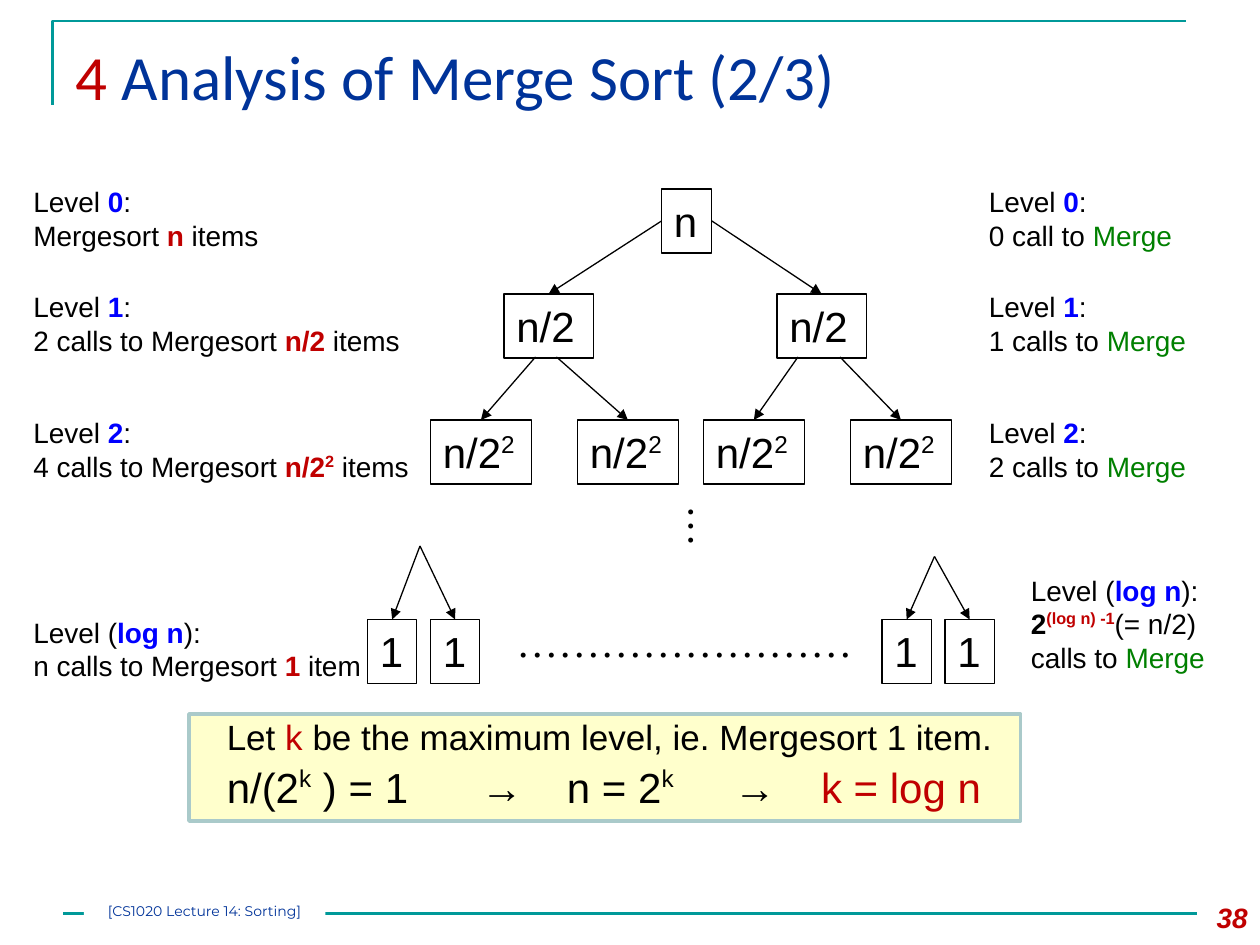
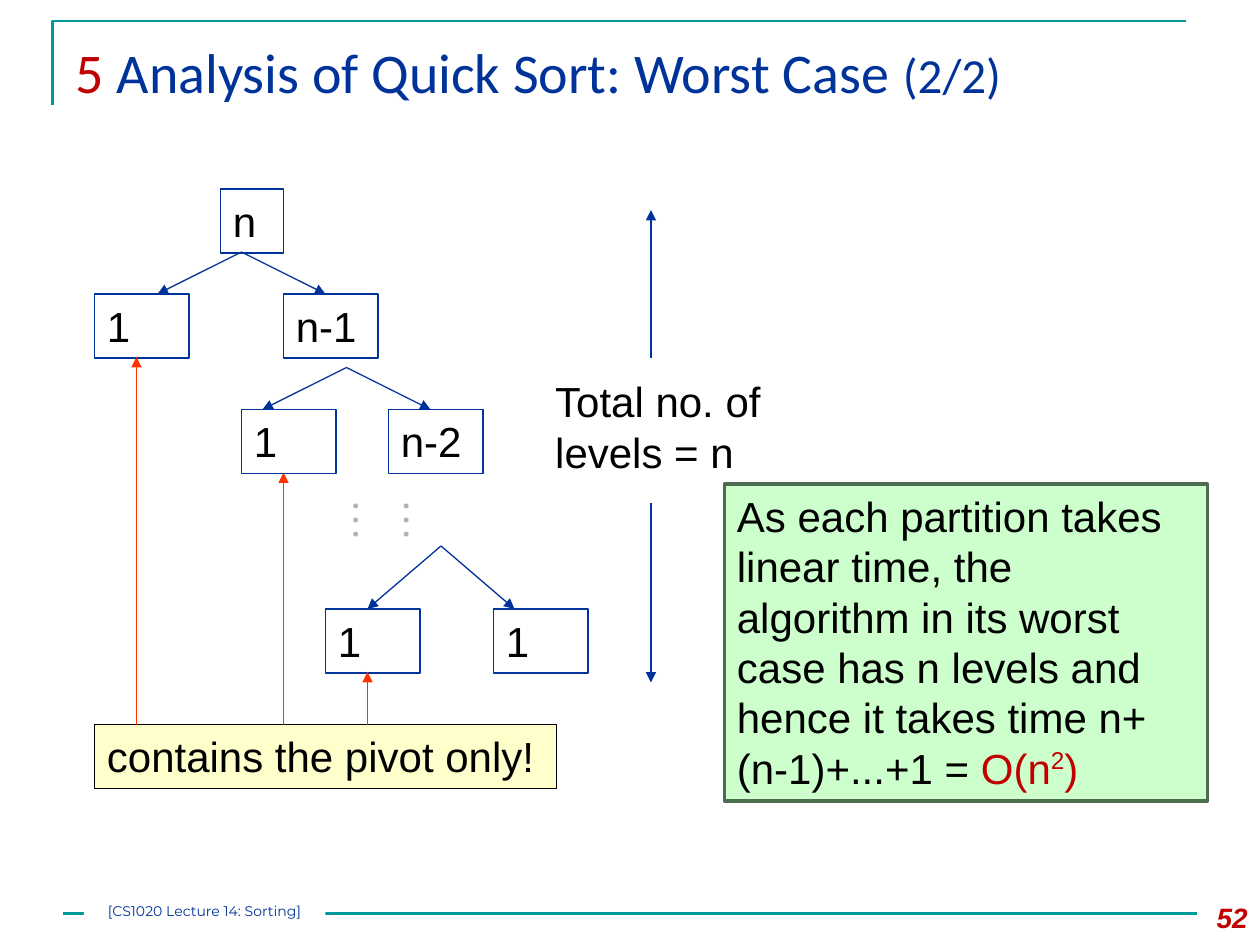
from lxml import etree
from pptx import Presentation
from pptx.dml.color import RGBColor
from pptx.enum.shapes import MSO_CONNECTOR as Connector, MSO_SHAPE as Shape
from pptx.enum.text import MSO_ANCHOR as Anchor, MSO_AUTO_SIZE as AutoSize, PP_ALIGN as Align
from pptx.oxml.ns import qn
from pptx.util import Pt

PX = 7620  # EMU in one px, 120 px to the inch
COLORS = {
    "black": "000000", "white": "FFFFFF", "teal": "009999", "navy": "003399",
    "red": "C00000", "blue": "0000FF", "green": "008000", "orange": "FF3300",
    "gray": "B2B2B2", "cream": "FFFFCC", "cream edge": "AACACA",
    "mint": "CCFFCC", "mint edge": "4C6D4E",
}
NODE_HEIGHT = 61


def add_text(slide, box, paragraphs, size=24, font="Arial", color="black", fill=None,
             line=None, line_width=0.75, inset=(12, 6, 12), align=Align.LEFT, shape=None):
    """Each paragraph is a list of runs: plain text or (text, colour, flags b, i, ^)."""
    bounds = [length * PX for length in box]
    if shape is None and (fill or line):
        shape = slide.shapes.add_shape(Shape.RECTANGLE, *bounds)
        shape.shadow.inherit = False
    elif shape is None:
        shape = slide.shapes.add_textbox(*bounds)
    shape.left, shape.top, shape.width, shape.height = bounds
    if fill:
        shape.fill.solid()
        shape.fill.fore_color.rgb = RGBColor.from_string(COLORS[fill])
    else:
        shape.fill.background()
    if line:
        shape.line.color.rgb = RGBColor.from_string(COLORS[line])
        shape.line.width = Pt(line_width)
    else:
        shape.line.fill.background()
    frame = shape.text_frame
    frame.word_wrap = True
    frame.auto_size = AutoSize.NONE
    frame.vertical_anchor = Anchor.TOP
    frame.margin_left, frame.margin_top, frame.margin_right = [side * PX for side in inset]
    frame.margin_bottom = frame.margin_top
    for index, runs in enumerate(paragraphs):
        paragraph = frame.add_paragraph() if index else frame.paragraphs[0]
        paragraph.alignment = align
        for item in runs:
            text, run_color, flags = (item, color, "") if isinstance(item, str) else item
            run = paragraph.add_run()
            run.text = text
            run.font.name, run.font.size = font, Pt(size)
            run.font.bold, run.font.italic = "b" in flags, "i" in flags
            run.font.color.rgb = RGBColor.from_string(COLORS[run_color])
            if "^" in flags:
                run.font._element.set("baseline", "36000")
    return shape


def add_line(slide, start, end, color="black", width=0.75, arrow=True):
    points = [value * PX for value in (*start, *end)]
    connector = slide.shapes.add_connector(Connector.STRAIGHT, *points)
    connector.line.color.rgb = RGBColor.from_string(COLORS[color])
    connector.line.width = Pt(width)
    if arrow:
        etree.SubElement(connector.line._get_or_add_ln(), qn("a:tailEnd"), type="triangle")
    etree.SubElement(connector._element.spPr, qn("a:effectLst"))
    return connector


presentation = Presentation()
presentation.slide_width, presentation.slide_height = 1200 * PX, 900 * PX

# Shared parts: title, frame, footer and page number
pages = [
    ("38", 36, 1080, [("4 ", "red", ""), "Analysis of Merge Sort (2/3)"]),
    ("52", 32, 1120, [("5 ", "red", ""), "Analysis of Quick Sort: Worst Case ", "(2/2)"]),
]
slides = []
for number, title_size, title_width, title in pages:
    slide = presentation.slides.add_slide(presentation.slide_layouts[5])
    slides.append(slide)
    builder = slide.shapes.build_freeform(50, 100, scale=PX)
    builder.add_line_segments([(50, 20), (1130, 20)], close=False)
    frame_line = builder.convert_to_shape()
    frame_line.shadow.inherit = False
    frame_line.fill.background()
    frame_line.line.color.rgb = RGBColor.from_string(COLORS["teal"])
    frame_line.line.width = Pt(1.5)
    add_line(slide, (60, 870), (1140, 870), "teal", 1.5, arrow=False)
    add_text(slide, (60, 30, title_width, 120), [title], title_size, "Calibri", "navy",
             shape=slide.shapes.title)
    add_text(slide, (1120, 852, 80, 48), [[(number, "red", "bi")]], 16, align=Align.RIGHT)
    add_text(slide, (80, 860, 230, 20), [["[CS1020 Lecture 14: Sorting]"]], 8, "Montserrat",
             "navy", fill="white", inset=(0, 0, 0), align=Align.CENTER)
merge_slide, quick_slide = slides
quick_slide.shapes.title.text_frame.paragraphs[0].runs[-1].font.size = Pt(28)

# Merge sort: level labels on both sides
merge = ("Merge", "green", "")
labels = [
    (20, 170, 330, 77, "Level ", "0", ":", ["Mergesort ", ("n", "red", "b"), " items"]),
    (20, 270, 400, 77, "Level ", "1", ":",
     ["2 calls to Mergesort ", ("n/2", "red", "b"), " items"]),
    (20, 390, 390, 77, "Level ", "2", ":",
     ["4 calls to Mergesort ", ("n/2", "red", "b"), ("2", "red", "b^"), " items"]),
    (20, 580, 390, 77, "Level (", "log n", "):",
     ["n calls to Mergesort ", ("1", "red", "b"), " item"]),
    (930, 170, 230, 77, "Level ", "0", ":", ["0 call to ", merge]),
    (930, 270, 230, 77, "Level ", "1", ":", ["1 calls to ", merge]),
    (930, 390, 230, 77, "Level ", "2", ":", ["2 calls to ", merge]),
    (970, 540, 210, 108, "Level (", "log n", "):",
     [("2", "black", "b"), ("(log n) -1", "red", "b^"), "(= n/2) calls to ", merge]),
]
for x, y, width, height, before, level, after, calls in labels:
    add_text(merge_slide, (x, y, width, height),
             [[before, (level, "blue", "b"), after], calls], 16)

# Merge sort: recursion tree, each node with the start of the arrow to it
root = add_text(merge_slide, (630, 180, 48, NODE_HEIGHT), [["n"]], line="black")
half, quarter, single = ["n/2"], ["n/2", ("2", "black", "^")], ["1"]
merge_nodes = [
    (480, 280, 85, half, (630, 210), 1), (740, 280, 85, half, (680, 210), 3),
    (410, 400, 96, quarter, (510, 340), None), (550, 400, 96, quarter, (530, 340), None),
    (670, 400, 96, quarter, (760, 340), None), (810, 400, 96, quarter, (800, 340), None),
    (350, 590, 47, single, (400, 520), None), (410, 590, 47, single, (400, 520), None),
    (840, 590, 47, single, (890, 530), None), (900, 590, 47, single, (890, 530), None),
]
for x, y, width, runs, start, root_side in merge_nodes:
    node = add_text(merge_slide, (x, y, width, NODE_HEIGHT), [runs], line="black")
    arrow = add_line(merge_slide, start, (x + width // 2, y))
    arrow.end_connect(node, 0)
    if root_side is not None:
        arrow.begin_connect(root, root_side)
add_text(merge_slide, (480, 580, 346, 60), [["……………………"]], font="Times New Roman")

# Vertical dots on both slides
for slide, box, dots, color in [(merge_slide, (630, 470, 72, 52), "…", "black"),
                                (quick_slide, (359, 464, 72, 94), "……", "gray")]:
    dots_box = add_text(slide, box, [[dots]], font="Times New Roman", color=color)
    dots_box.text_frame._txBody.bodyPr.set("vert", "eaVert")

# Merge sort: conclusion, with tab stops around the arrows
conclusion = add_text(merge_slide, (180, 680, 792, 102), [
    ["Let ", ("k ", "red", ""), "be the maximum level, ie. Mergesort 1 item."],
    ["n/(2", ("k", "black", "^"), " ) = 1\t→\tn = 2", ("k", "black", "^"), "\t→\t",
     ("k = log n", "red", "")],
], 20, fill="cream", line="cream edge", line_width=2, inset=(36, 6, 12))
for paragraph in conclusion.text_frame.paragraphs:
    paragraph.line_spacing = 0.9
formula = conclusion.text_frame.paragraphs[1]
formula.space_before = Pt(5)
for run in formula.runs:
    run.font.size = Pt(24)
tab_list = etree.SubElement(formula._p.get_or_add_pPr(), qn("a:tabLst"))
for position in (242, 324, 483, 566):
    etree.SubElement(tab_list, qn("a:tab"), pos=str(position * PX), algn="l")

# Quick sort: partition tree, each node with the arrow to it
add_text(quick_slide, (210, 180, 60, NODE_HEIGHT), [["n"]], line="navy")
quick_nodes = [
    (90, 280, "1", (230, 240), 150), (270, 280, "n-1", (230, 240), 310),
    (230, 390, "1", (330, 350), 250), (370, 390, "n-2", (330, 350), 410),
    (310, 580, "1", (420, 520), 350), (470, 580, "1", (420, 520), 490),
]
for x, y, text, start, arrow_x in quick_nodes:
    add_text(quick_slide, (x, y, 90, NODE_HEIGHT), [[text]], line="navy")
    add_line(quick_slide, start, (arrow_x, y), "navy")

# Quick sort: number of levels
add_text(quick_slide, (517, 352, 230, 109), [["Total no. of levels = n"]])
for start_y, end_y in [(341, 200), (479, 650)]:
    add_line(quick_slide, (620, start_y), (620, end_y), "navy")

# Quick sort: pivot note and its arrows
add_text(quick_slide, (90, 690, 440, NODE_HEIGHT), [["contains the pivot only!"]],
         fill="cream", line="black")
for x, node_bottom in [(130, 340), (270, 450), (350, 640)]:
    add_line(quick_slide, (x, 690), (x, node_bottom), "orange")

# Quick sort: conclusion
add_text(quick_slide, (690, 461, 460, 302), [[
    "As each partition takes linear time, the algorithm in its worst case has n levels "
    "and hence it takes time n+(n-1)+...+1 = ",
    ("O(n", "red", ""), ("2", "red", "^"), (")", "red", ""),
]], fill="mint", line="mint edge", line_width=2)

presentation.save("out.pptx")
